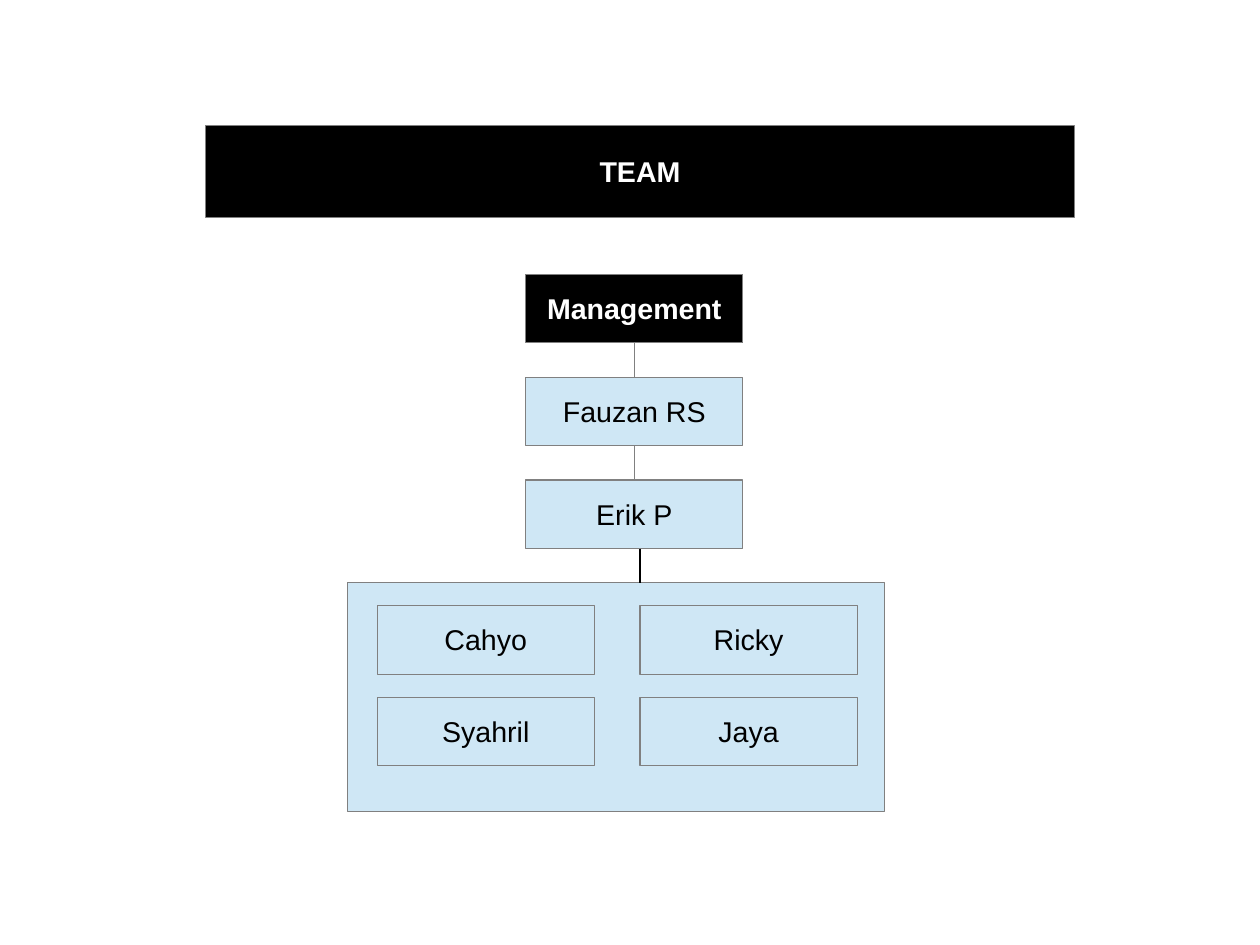
from lxml.etree import SubElement
from pptx import Presentation
from pptx.dml.color import RGBColor
from pptx.enum.shapes import MSO_CONNECTOR, MSO_SHAPE
from pptx.enum.text import MSO_ANCHOR, PP_ALIGN
from pptx.oxml.ns import qn
from pptx.util import Inches, Pt

BLACK, WHITE, GREY, BLUE = "000000", "FFFFFF", "808080", "CFE7F5"
BOX_W, BOX_H = 1.9, 0.6
CM_PER_INCH = 2.54


def rgb(color):
    return RGBColor.from_string(color)


def add_box(slide, x, y, w, h, text="", fill=BLUE, rounded=False):
    kind = MSO_SHAPE.ROUNDED_RECTANGLE if rounded else MSO_SHAPE.RECTANGLE
    sp = slide.shapes.add_shape(kind, Inches(x), Inches(y), Inches(w), Inches(h))
    if rounded:
        sp.adjustments[0] = 0
    sp.shadow.inherit = False
    sp.fill.solid()
    sp.fill.fore_color.rgb = rgb(fill)
    sp.line.color.rgb = rgb(GREY)
    sp.line.width = Pt(0.75)
    if text:
        tf = sp.text_frame
        tf.word_wrap = rounded
        tf.vertical_anchor = MSO_ANCHOR.MIDDLE
        tf.margin_left = tf.margin_right = Inches(0.1)
        tf.margin_top, tf.margin_bottom = Inches(0.07), Inches(0.05)
        p = tf.paragraphs[0]
        p.text = text
        p.alignment = PP_ALIGN.CENTER
        p.line_spacing = 0.93
        p.font.name = "Arial"
        p.font.size = Pt(18)
        p.font.bold = fill == BLACK
        p.font.color.rgb = rgb(WHITE if fill == BLACK else BLACK)
    return sp


def add_line(slide, x, y1, y2, color):
    line = slide.shapes.add_connector(
        MSO_CONNECTOR.STRAIGHT, Inches(x), Inches(y1), Inches(x), Inches(y2))
    line.line.color.rgb = rgb(color)
    line.line.width = Pt(0.75)
    SubElement(line._element.spPr, qn("a:effectLst"))
    return line


def add_management(slide, x, y, names, step=0.9):
    boxes = [add_box(slide, x, y + i * step, BOX_W, BOX_H, name, BLUE if i else BLACK)
             for i, name in enumerate(names)]
    for i, (upper, lower) in enumerate(zip(boxes, boxes[1:])):
        top = y + i * step
        line = add_line(slide, x + BOX_W / 2, top + BOX_H, top + step, GREY)
        line.begin_connect(upper, 2)
        line.end_connect(lower, 0)


def add_members(slide, x, y, w, h, columns):
    add_box(slide, x, y, w, h, rounded=True)
    for col, names in enumerate(columns):
        for row, name in enumerate(names):
            add_box(slide, x + 0.26 + col * 2.3, y + 0.2 + row * 0.8, BOX_W, BOX_H, name)


def main():
    prs = Presentation()
    prs.slide_width = Inches(28 / CM_PER_INCH)
    prs.slide_height = Inches(21 / CM_PER_INCH)
    slide = prs.slides.add_slide(prs.slide_layouts[6])
    add_members(slide, 3.04, 5.1, 4.7, 2, [("Cahyo", "Syahril"), ("Ricky", "Jaya")])
    add_box(slide, 1.8, 1.1, 7.6, 0.8, "TEAM", BLACK, rounded=True)
    add_management(slide, 4.6, 2.4, ["Management", "Fauzan RS", "Erik P"])
    add_line(slide, 5.6, 4.8, 5.1, BLACK)
    prs.save("out.pptx")


if __name__ == "__main__":
    main()
